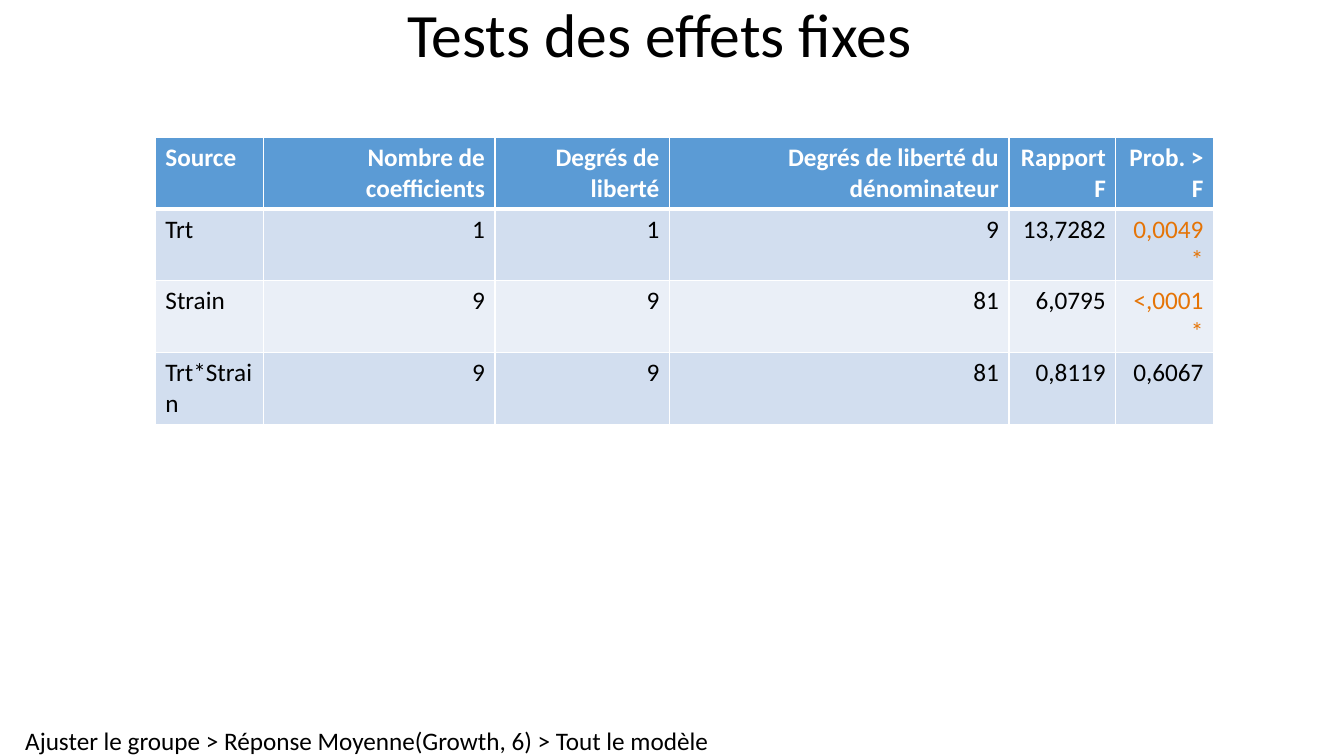
from dataclasses import dataclass

from lxml import etree
from pptx import Presentation
from pptx.dml.color import RGBColor
from pptx.enum import text as t
from pptx.oxml.ns import qn
from pptx.util import Pt

HUES = {
    "ink": "000000",
    "white": "FFFFFF",
    "head": "5B9BD5",
    "odd": "D2DEEF",
    "even": "EAEFF7",
    "alert": "E57406",
}
FONT = "Calibri"
WIDTHS = (77, 165.6, 124.6, 242.6, 76.3, 69.8)
HEIGHT = 51.2
ROWS = (
    ("Source", "Nombre de coefficients", "Degrés de liberté",
     "Degrés de liberté du dénominateur", "Rapport F", "Prob. > F"),
    ("Trt", "1", "1", "9", "13,7282", "0,0049*"),
    ("Strain", "9", "9", "81", "6,0795", "<,0001*"),
    ("Trt*Strain", "9", "9", "81", "0,8119", "0,6067"),
)


@dataclass
class Look:
    fill: str
    ink: str
    bold: bool
    base: float  # width of the bottom border


HEAD = Look("head", "white", True, 3)
BODY = (Look("odd", "ink", False, 1), Look("even", "ink", False, 1))


def add_run(para, words: str, size: float, hue: str, bold: bool = False) -> None:
    run = para.add_run()
    run.text = words
    font = run.font
    font.name, font.size, font.bold = FONT, Pt(size), bold
    font.color.rgb = RGBColor.from_string(HUES[hue])


def add_edge(cell, side: str, width: float) -> None:
    props = cell._tc.get_or_add_tcPr()
    line = etree.SubElement(props, qn(f"a:ln{side}"), w=str(Pt(width)))
    fill = etree.SubElement(line, qn("a:solidFill"))
    etree.SubElement(fill, qn("a:srgbClr"), val=HUES["white"])


def draw_cell(cell, words: str, look: Look, row: int, col: int) -> None:
    top = HEAD.base if row == 1 else 1
    for side, width in (("L", 1), ("R", 1), ("T", top), ("B", look.base)):
        add_edge(cell, side, width)
    cell.fill.solid()
    cell.fill.fore_color.rgb = RGBColor.from_string(HUES[look.fill])
    para = cell.text_frame.paragraphs[0]
    para.alignment = t.PP_ALIGN.RIGHT if col else t.PP_ALIGN.LEFT
    # A star marks a significant probability
    hue = "alert" if words.endswith("*") else look.ink
    add_run(para, words, 18, hue, look.bold)


def draw_title(slide) -> None:
    title = slide.shapes.title
    title.left, title.top = Pt(0), Pt(0)
    title.width, title.height = Pt(942), Pt(54)
    frame = title.text_frame
    frame.auto_size = t.MSO_AUTO_SIZE.NONE
    frame.vertical_anchor = t.MSO_ANCHOR.MIDDLE
    para = frame.paragraphs[0]
    para.alignment, para.line_spacing = t.PP_ALIGN.CENTER, 0.9
    add_run(para, "Tests des effets fixes", 44, "ink")


def draw_table(slide) -> None:
    table = slide.shapes.add_table(
        len(ROWS), len(WIDTHS), Pt(111), Pt(98.2),
        Pt(sum(WIDTHS)), Pt(HEIGHT * len(ROWS))).table
    table.horz_banding = False
    for col, width in zip(table.columns, WIDTHS):
        col.width = Pt(width)
    for r, row in enumerate(ROWS):
        table.rows[r].height = Pt(HEIGHT)
        look = BODY[(r - 1) % 2] if r else HEAD
        for c, words in enumerate(row):
            draw_cell(table.cell(r, c), words, look, r, c)


def draw_note(slide) -> None:
    frame = slide.shapes.add_textbox(Pt(18), Pt(518), Pt(492), Pt(22)).text_frame
    frame.margin_left = frame.margin_right = Pt(0)
    frame.margin_top = frame.margin_bottom = Pt(0)
    frame.word_wrap = False
    frame.auto_size = t.MSO_AUTO_SIZE.SHAPE_TO_FIT_TEXT
    add_run(frame.paragraphs[0],
            "Ajuster le groupe > Réponse Moyenne(Growth, 6) > Tout le modèle",
            18, "ink")


def main() -> None:
    deck = Presentation()
    deck.slide_width, deck.slide_height = Pt(960), Pt(540)
    slide = deck.slides.add_slide(deck.slide_layouts[5])
    draw_note(slide)
    draw_title(slide)
    draw_table(slide)
    deck.save("out.pptx")


if __name__ == "__main__":
    main()
